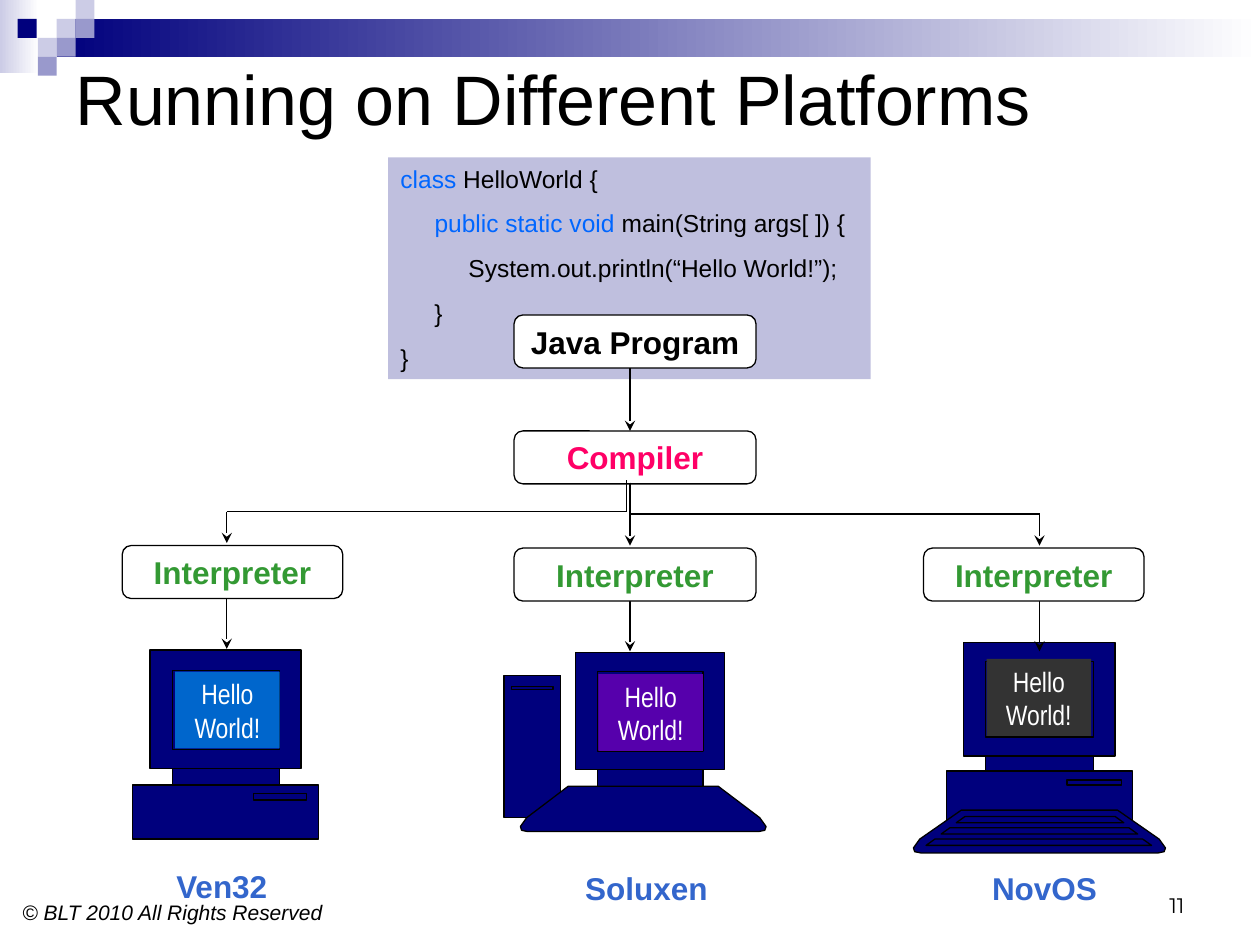
from lxml import etree
from pptx import Presentation
from pptx.dml.color import RGBColor
from pptx.enum.shapes import MSO_CONNECTOR as CONN, MSO_SHAPE as SHAPE
from pptx.enum.text import MSO_ANCHOR as ANCHOR, MSO_AUTO_SIZE as AUTO, PP_ALIGN as ALIGN
from pptx.oxml.ns import qn
from pptx.util import Inches, Pt

NAVY, LILAC, PERI = "00007D", "CCCCE6", "9999CC"
BLACK, WHITE, BLUE, GREEN = "000000", "FFFFFF", "0066FF", "339933"


def rgb(value):
    return RGBColor.from_string(value)


def rect(x, y, w, h):
    return [(x, y), (x + w, y), (x + w, y + h), (x, y + h)]


def keyboard(x, y, w, h):
    """Outline of a keyboard seen in perspective, with rounded front corners."""
    right = [(w - 0.38, 0), (w - 0.05, h - 0.11), (w, h - 0.04),
             (w - 0.01, h - 0.01), (w - 0.06, h)]
    left = [(w - px, py) for px, py in reversed(right)]
    return [(x + px, y + py) for px, py in right + left]


def stripe(x, y, w):
    return [(x, y + 0.05), (x + 0.07, y), (x + w - 0.07, y), (x + w, y + 0.05)]


class Deck:
    font = "Arial"
    line_width = 0.75

    def __init__(self):
        self.prs = Presentation()
        self.prs.slide_width, self.prs.slide_height = Inches(10), Inches(7.5)
        self.s = self.prs.slides.add_slide(self.prs.slide_layouts[5])

    def paint(self, sp, fill, line=None):
        sp.shadow.inherit = False
        sp.fill.solid()
        sp.fill.fore_color.rgb = rgb(fill)
        if line:
            sp.line.color.rgb = rgb(line)
            sp.line.width = Pt(self.line_width)
        else:
            sp.line.fill.background()

    def set_text(self, sp, lines, align=ALIGN.LEFT, inset=(0.1, 0.05), anchor=ANCHOR.TOP,
                 wrap=True, gap=0, spacing=None, **style):
        """Each line is a list of (text, colour) runs."""
        tf = sp.text_frame
        tf.auto_size, tf.word_wrap, tf.vertical_anchor = AUTO.NONE, wrap, anchor
        tf.margin_left = tf.margin_right = Inches(inset[0])
        tf.margin_top = tf.margin_bottom = Inches(inset[1])
        for i, runs in enumerate(lines):
            p = tf.add_paragraph() if i else tf.paragraphs[0]
            p.alignment = align
            p.space_before = Pt(gap if i else 0)
            if spacing:
                p.line_spacing = spacing
            for text, color in runs:
                r = p.add_run()
                r.text = text
                r.font.color.rgb = rgb(color)
                for name, value in {"name": self.font, **style}.items():
                    setattr(r.font, name, value)

    def title(self, text, *at):
        sp = self.s.shapes.title
        sp.left, sp.top, sp.width, sp.height = map(Inches, at)
        self.set_text(sp, [[(text, BLACK)]], anchor=ANCHOR.MIDDLE, size=Pt(40))

    def text(self, text, at, color=BLACK, **style):
        sp = self.s.shapes.add_textbox(*map(Inches, at))
        self.set_text(sp, [[(text, color)]], **style)

    def block(self, at, fill, line=None, kind=SHAPE.RECTANGLE):
        sp = self.s.shapes.add_shape(kind, *map(Inches, at))
        self.paint(sp, fill, line)
        return sp

    def gradient(self, at, start):
        fill = self.block(at, start).fill
        fill.gradient()
        fill.gradient_angle = 0
        for stop, color in zip(fill.gradient_stops, (start, WHITE)):
            stop.color.rgb = rgb(color)

    def code(self, at, lines):
        sp = self.block(at, NAVY)
        color = sp._element.spPr.find(qn("a:solidFill"))[0]
        etree.SubElement(color, qn("a:alpha"), val="25000")
        self.set_text(sp, lines, gap=8.8, size=Pt(14))

    def step(self, text, x, y, w, color):
        sp = self.block((x, y, w, 0.42), WHITE, BLACK, SHAPE.ROUNDED_RECTANGLE)
        self.set_text(sp, [[(text, color)]], ALIGN.CENTER, anchor=ANCHOR.MIDDLE,
                      wrap=False, size=Pt(18), bold=True)

    def line(self, x1, y1, x2, y2, arrow=False):
        sp = self.s.shapes.add_connector(CONN.STRAIGHT, *map(Inches, (x1, y1, x2, y2)))
        sp.line.color.rgb = rgb(BLACK)
        sp.line.width = Pt(self.line_width)
        spPr = sp._element.spPr
        if arrow:
            etree.SubElement(spPr.find(qn("a:ln")), qn("a:tailEnd"), type="stealth")
        etree.SubElement(spPr, qn("a:effectLst"))

    def outlines(self, contours):
        """One freeform in which every contour is filled on its own."""
        fb = None
        for points in contours:
            pts = [(Inches(x), Inches(y)) for x, y in points]
            if fb is None:
                fb = self.s.shapes.build_freeform(*pts[0])
            else:
                fb.move_to(*pts[0])
            fb.add_line_segments(pts[1:], close=True)
        sp = fb.convert_to_shape()
        self.paint(sp, NAVY, BLACK)
        first = sp._element.find(".//" + qn("a:path"))
        size = {"w": first.get("w"), "h": first.get("h")}
        target = first
        for command in list(first)[1:]:
            if command.tag == qn("a:moveTo"):
                target = etree.SubElement(first.getparent(), qn("a:path"), size)
            if target is not first:
                target.append(command)

    def screen(self, x, y, fill):
        sp = self.block((x, y, 0.83, 0.61), fill)
        self.set_text(sp, [[("Hello World!", WHITE)]], ALIGN.CENTER, inset=(0, 0.04),
                      name="Arial Narrow", size=Pt(16))


def main():
    d = Deck()

    # Header band and squares
    d.gradient((0, 0, 0.31, 0.58), LILAC)
    d.gradient((0.45, 0.15, 9.55, 0.3), NAVY)
    for x, y, color in [(0.45, 0.15, LILAC), (0.6, 0, LILAC), (0.6, 0.15, PERI),
                        (0.3, 0.3, LILAC), (0.14, 0.15, NAVY), (0.45, 0.3, PERI),
                        (0.3, 0.45, PERI)]:
        d.block((x, y, 0.15, 0.15), color)

    # Title and footer
    d.title("Running on Different Platforms", 0.5, 0.5, 9, 0.54)
    d.text("© BLT 2010 All Rights Reserved", (0.08, 7.13, 3.33, 0.26),
           spacing=0.8, size=Pt(12), italic=True)
    d.text("11", (7.17, 6.83, 2.33, 0.5), align=ALIGN.RIGHT, anchor=ANCHOR.BOTTOM,
           name="Montserrat", size=Pt(12))

    # Program and compiler
    d.code((3.08, 1.25, 3.83, 1.76), [
        [("class", BLUE), (" HelloWorld {", BLACK)],
        [("     ", BLACK), ("public static void", BLUE),
         (" main(String args[ ]) {", BLACK)],
        [("          System.out.println(“Hello World!”);", BLACK)],
        [("     }", BLACK)],
        [("}", BLACK)],
    ])
    d.step("Java Program", 4.08, 2.5, 1.92, BLACK)
    d.step("Compiler", 4.08, 3.42, 1.92, "FF0066")
    d.line(5, 2.92, 5, 3.42, arrow=True)

    # Computers
    d.outlines([rect(4, 5.36, 0.45, 1.13), rect(4.06, 5.45, 0.33, 0.02),
                rect(4.57, 5.18, 1.18, 0.93), rect(4.74, 5.33, 0.84, 0.63),
                rect(4.74, 6.11, 0.84, 0.13), keyboard(4.13, 6.24, 1.95, 0.36)])
    d.outlines([rect(1.19, 5.16, 1.2, 0.94), rect(1.37, 5.32, 0.85, 0.63),
                rect(1.37, 6.1, 0.85, 0.13), rect(1.05, 6.23, 1.48, 0.43),
                rect(2.01, 6.3, 0.42, 0.05)])
    d.outlines([rect(7.65, 5.1, 1.2, 0.9), rect(7.82, 5.25, 0.86, 0.6),
                rect(7.82, 6, 0.86, 0.12), rect(7.51, 6.12, 1.48, 0.41),
                rect(8.47, 6.19, 0.43, 0.04), keyboard(7.25, 6.43, 2, 0.34)]
               + [stripe(7.59 - 0.12 * i, 6.48 + 0.09 * i, 1.33 + 0.23 * i)
                  for i in range(3)])

    # Platforms: name, label left and width, screen, box left and width, axis, shift
    for name, lx, lw, screen, bx, bw, x, dy in [
        ("Soluxen", 4.17, 1.92, (4.75, 5.35, "5600AC"), 4.08, 1.92, 5, 0),
        ("Ven32", 1.05, 1.42, (1.39, 5.33, "0066CC"), 0.97, 1.75, 1.8, -0.02),
        ("NovOS", 7.33, 1.92, (7.83, 5.23, "333333"), 7.33, 1.75, 8.25, 0),
    ]:
        d.screen(*screen)
        d.text(name, (lx, 6.85 + dy, lw, 0.4), "3366CC", align=ALIGN.CENTER,
               size=Pt(18), bold=True)
        d.line(x, 4.75 + dy, x, 5.17 + dy, arrow=True)
        d.step("Interpreter", bx, 4.35 + dy, bw, GREEN)
        if x == 5:
            d.line(x, 3.83, x, 4.33, arrow=True)
        else:
            start = 4.97 if x < 5 else 5
            d.line(x, 4.08 + dy, x, 4.33 + dy, arrow=True)
            d.line(x, 4.08 + dy, start, 4.08 + dy)
            d.line(start, 3.83 + dy, start, 4.08 + dy)

    d.prs.save("out.pptx")


if __name__ == "__main__":
    main()
